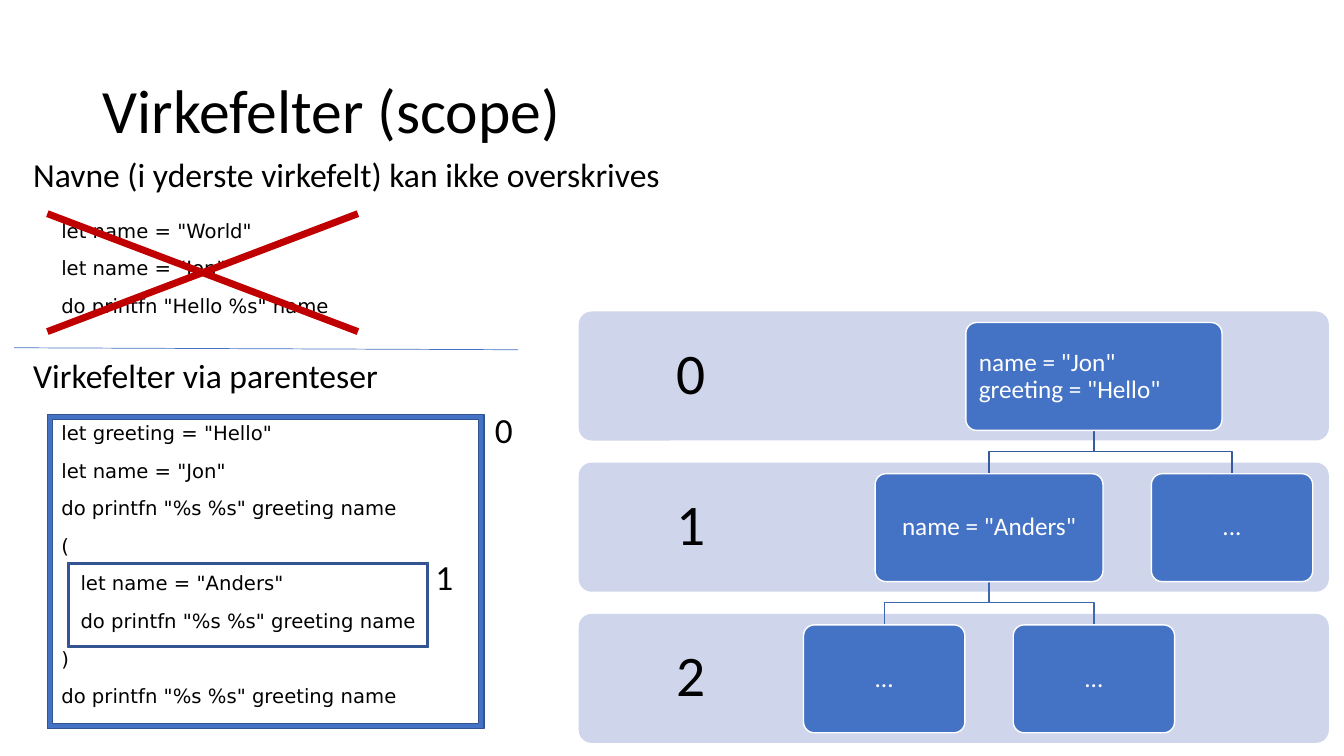
from dataclasses import dataclass

from pptx import Presentation
from pptx.dml.color import RGBColor
from pptx.enum.shapes import MSO_CONNECTOR, MSO_SHAPE
from pptx.enum.text import MSO_ANCHOR, PP_ALIGN
from pptx.oxml.ns import qn
from pptx.util import Emu, Pt

BLACK = RGBColor(0x00, 0x00, 0x00)
WHITE = RGBColor(0xFF, 0xFF, 0xFF)
BLUE = RGBColor(0x44, 0x72, 0xC4)
FRAME_LINE = RGBColor(0x32, 0x54, 0x91)
BAND_FILL = RGBColor(0xCF, 0xD5, 0xEA)
ROOT_LINK = RGBColor(0x36, 0x5B, 0x9D)
CHILD_LINK = RGBColor(0x3E, 0x67, 0xB2)
RED = RGBColor(0xC0, 0x00, 0x00)

HEADING = {"name": "Calibri", "size": Pt(24)}
LABEL = {"name": "Calibri", "size": Pt(25.2)}
CODE = {"name": "DejaVu Sans", "size": Pt(14)}
LEVEL = {"name": "Calibri", "size": Pt(41)}
NODE = {"name": "Calibri", "size": Pt(18)}
TITLE = {"name": "Calibri", "size": Pt(44)}

CODE_PARA = {"space_before": Pt(10)}
TITLE_PARA = {"alignment": PP_ALIGN.LEFT, "line_spacing": 0.9}
CENTRED = {"alignment": PP_ALIGN.CENTER, "line_spacing": 0.9}
LEFT = {"alignment": PP_ALIGN.LEFT, "line_spacing": 0.9}


def px(n: int) -> Emu:
    """100 px to the inch."""
    return Emu(n * 9144)


@dataclass
class Box:
    x: int
    y: int
    w: int
    h: int

    def emu(self) -> tuple:
        return px(self.x), px(self.y), px(self.w), px(self.h)


@dataclass
class Node:
    text: str
    x: int
    w: int
    level: int
    parent: int | None = None
    para: dict | None = None

    @property
    def centre(self) -> int:
        return self.x + self.w // 2

    @property
    def top(self) -> int:
        return BAND_TOP + self.level * BAND_PITCH + 11


BAND_TOP, BAND_PITCH, BAND_H, NODE_H = 309, 150, 128, 107
NODES = [
    Node('name = "Jon"\vgreeting = "Hello"', 958, 254, 0, para=LEFT),
    Node('name = "Anders"', 868, 226, 1, 0),
    Node("...", 1142, 160, 1, 0),
    Node("...", 797, 160, 2, 1),
    Node("...", 1005, 160, 2, 1),
]

HEADINGS = [
    ("Navne (i yderste virkefelt) kan ikke overskrives", Box(23, 148, 648, 50), HEADING),
    ("Virkefelter via parenteser", Box(23, 347, 366, 50), HEADING),
    ("0", Box(481, 400, 38, 53), LABEL),
    ("1", Box(422, 546, 38, 53), LABEL),
]
REJECTED_CODE = ['let name = "World"', 'let name = "Jon"', 'do printfn "Hello %s" name']
SCOPED_CODE = [
    'let greeting = "Hello"',
    'let name = "Jon"',
    'do printfn "%s %s" greeting name',
    "(",
    '\tlet name = "Anders"',
    '\tdo printfn "%s %s" greeting name',
    ")",
    'do printfn "%s %s" greeting name',
]
FRAMES = [Box(47, 411, 433, 312), Box(67, 558, 358, 84)]


def apply(target, values: dict) -> None:
    for name, value in values.items():
        setattr(target, name, value)


def write(tf, lines: list, font: dict, color: RGBColor, para: dict) -> None:
    """One paragraph a line; a leading tab marks an indented line."""
    for i, line in enumerate(lines):
        p = tf.add_paragraph() if i else tf.paragraphs[0]
        p.text = line.lstrip("\t")
        apply(p, para)
        if line.startswith("\t"):
            p._p.get_or_add_pPr().set("marL", str(px(19)))
        for r in p.runs:
            apply(r.font, font)
            r.font.color.rgb = color


def add_text(s, box: Box, lines: list, font: dict, para: dict, wrap: bool = True):
    tf = s.shapes.add_textbox(*box.emu()).text_frame
    tf.word_wrap = wrap
    write(tf, lines, font, BLACK, para)
    return tf


def add_shape(s, kind, box: Box, adj: float, fill: RGBColor, line: RGBColor | None):
    sp = s.shapes.add_shape(kind, *box.emu())
    sp.shadow.inherit = False
    sp.adjustments[0] = adj
    sp.fill.solid()
    sp.fill.fore_color.rgb = fill
    if line is None:
        sp.line.fill.background()
    else:
        sp.line.color.rgb = line
        sp.line.width = Pt(1)
    return sp


def add_line(s, x1: int, y1: int, x2: int, y2: int, color: RGBColor, width: float) -> None:
    c = s.shapes.add_connector(MSO_CONNECTOR.STRAIGHT, px(x1), px(y1), px(x2), px(y2))
    c.line.color.rgb = color
    c.line.width = Pt(width)
    spPr = c._element.spPr
    spPr.append(spPr.makeelement(qn("a:effectLst"), {}))


def add_link(s, parent: Node, child: Node) -> None:
    bottom = parent.top + NODE_H
    middle = (bottom + child.top) // 2
    fb = s.shapes.build_freeform(parent.centre, bottom, scale=9144)
    fb.add_line_segments(
        [(parent.centre, middle), (child.centre, middle), (child.centre, child.top)], close=False
    )
    sp = fb.convert_to_shape()
    sp.shadow.inherit = False
    sp.fill.background()
    sp.line.color.rgb = CHILD_LINK if parent.level else ROOT_LINK
    sp.line.width = Pt(1)


def main() -> None:
    prs = Presentation()
    prs.slide_width, prs.slide_height = px(1333), px(750)
    s = prs.slides.add_slide(prs.slide_layouts[5])

    # Title
    title = s.shapes.title
    title.left, title.top, title.width, title.height = Box(92, 40, 1150, 145).emu()
    title.text_frame.vertical_anchor = MSO_ANCHOR.MIDDLE
    write(title.text_frame, ["Virkefelter (scope)"], TITLE, BLACK, TITLE_PARA)

    # Code examples with frames and labels
    add_text(s, Box(51, 212, 430, 117), REJECTED_CODE, CODE, CODE_PARA)
    add_text(s, Box(51, 413, 451, 310), SCOPED_CODE, CODE, CODE_PARA)
    add_line(s, 14, 345, 514, 347, BLUE, 0.5)
    for frame in FRAMES:
        add_shape(s, MSO_SHAPE.FRAME, frame, 0.017, BLUE, FRAME_LINE)
    for text, box, font in HEADINGS:
        add_text(s, box, [text], font, {}, wrap=False)

    # Cross over the rejected code
    for start, end in ((329, 212), (212, 329)):
        add_line(s, 47, start, 355, end, RED, 5)

    # Scope level bands
    for level in range(3):
        y = BAND_TOP + level * BAND_PITCH
        add_shape(s, MSO_SHAPE.ROUNDED_RECTANGLE, Box(574, y, 744, BAND_H), 0.1, BAND_FILL, None)
        tf = add_text(s, Box(574, y, 223, BAND_H), [str(level)], LEVEL, CENTRED)
        tf.vertical_anchor = MSO_ANCHOR.MIDDLE

    # Scope tree
    for node in NODES:
        if node.parent is not None:
            add_link(s, NODES[node.parent], node)
    for node in NODES:
        box = Box(node.x, node.top, node.w, NODE_H)
        sp = add_shape(s, MSO_SHAPE.ROUNDED_RECTANGLE, box, 0.1, BLUE, WHITE)
        tf = sp.text_frame
        tf.vertical_anchor = MSO_ANCHOR.MIDDLE
        tf.margin_left = tf.margin_right = px(10)
        write(tf, [node.text], NODE, WHITE, node.para or CENTRED)

    prs.save("out.pptx")


if __name__ == "__main__":
    main()
